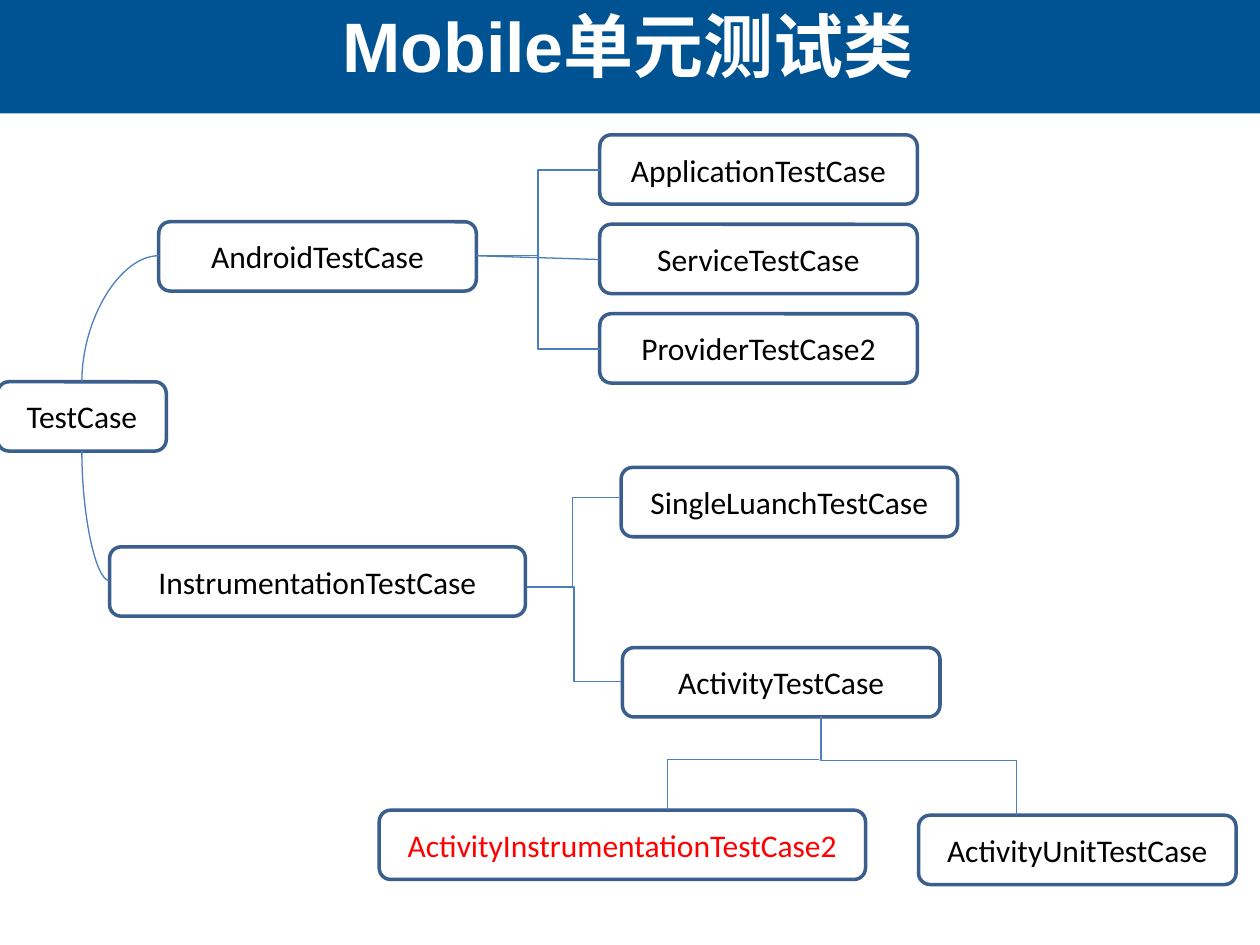
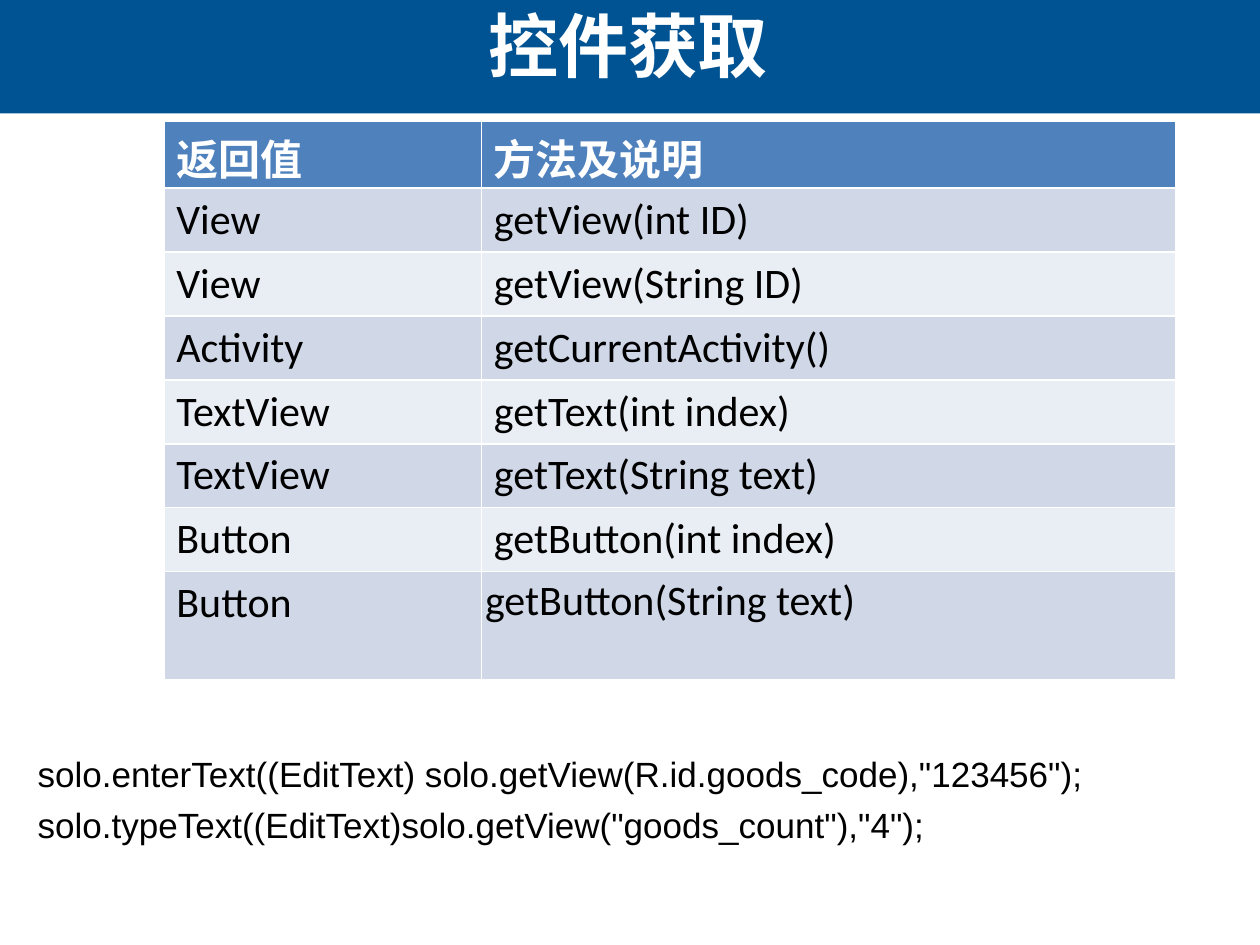
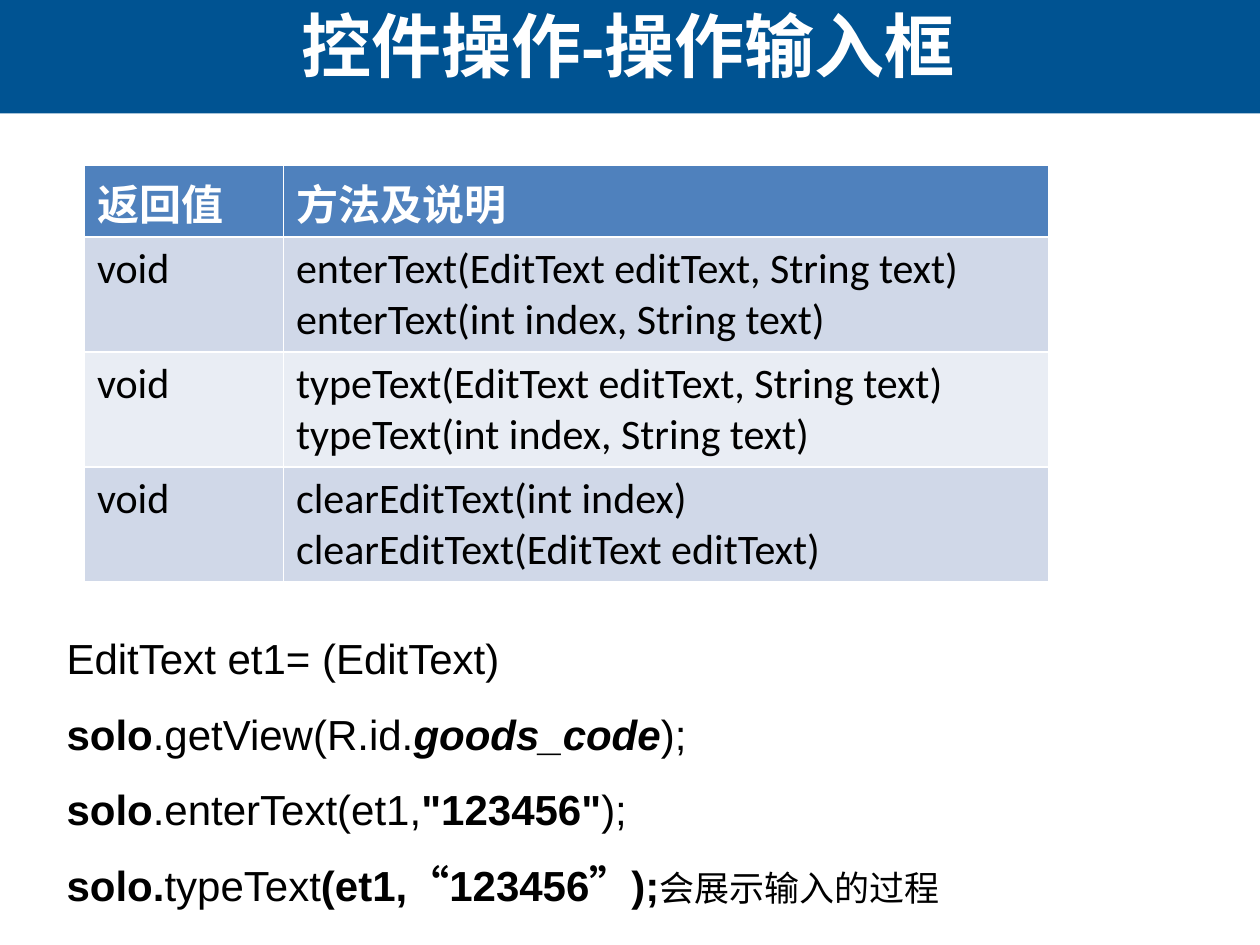
"""Build three slides on unit-test classes and widget access for mobile apps."""
from lxml import etree
from pptx import Presentation
from pptx.dml.color import RGBColor
from pptx.enum.shapes import MSO_CONNECTOR, MSO_SHAPE
from pptx.enum.text import MSO_ANCHOR, PP_ALIGN
from pptx.oxml.ns import qn
from pptx.util import Inches, Pt

RECTANGLE, ROUNDED = MSO_SHAPE.RECTANGLE, MSO_SHAPE.ROUNDED_RECTANGLE
STRAIGHT, ELBOW, CURVE = MSO_CONNECTOR.STRAIGHT, MSO_CONNECTOR.ELBOW, MSO_CONNECTOR.CURVE
MIDDLE, TOP = MSO_ANCHOR.MIDDLE, MSO_ANCHOR.TOP
LEFT, CENTER = PP_ALIGN.LEFT, PP_ALIGN.CENTER

COLORS = {
    "band": "005392",
    "white": "FFFFFF",
    "text": "000000",
    "highlight": "FF0000",
    "box line": "3A5F8C",
    "connector": "4B7EBC",
    "header": "4F81BD",
    "odd row": "D0D8E8",
    "even row": "E9EDF4",
}


def rgb(name):
    return RGBColor.from_string(COLORS[name])


def add_span(para, text, size, font="Arial", color="text", bold=False, italic=False):
    span = para.add_run()
    span.text = text
    span.font.size = Pt(size)
    span.font.name = font
    span.font.color.rgb = rgb(color)
    span.font.bold = bold
    span.font.italic = italic


deck = Presentation()
deck.slide_width, deck.slide_height = Inches(10), Inches(7.5)
layout = deck.slide_layouts[5]

pages = []
for heading in ["Mobile单元测试类", "控件获取", "控件操作-操作输入框"]:
    page = deck.slides.add_slide(layout)
    title = page.shapes.title
    title.left, title.top = Inches(-0.03), Inches(-0.18)
    title.width, title.height = Inches(10.03), Inches(1.07)
    title.text_frame.vertical_anchor = MIDDLE
    para = title.text_frame.paragraphs[0]
    para.alignment = CENTER
    add_span(para, heading, 40, color="white", bold=True)
    pages.append(page)
class_page, lookup_page, input_page = pages

band = class_page.shapes.add_shape(RECTANGLE, 0, 0, deck.slide_width, Inches(0.9))
band.shadow.inherit = False
band.fill.solid()
band.fill.fore_color.rgb = rgb("band")
band.line.fill.background()
layout.shapes.element.insert(2, band.element)

class_boxes = [
    ("TestCase", -0.02, 3.03, 1.34, "text"),
    ("AndroidTestCase", 1.26, 1.76, 2.52, "text"),
    ("InstrumentationTestCase", 0.87, 4.34, 3.3, "text"),
    ("ApplicationTestCase", 4.76, 1.07, 2.52, "text"),
    ("ServiceTestCase", 4.76, 1.78, 2.52, "text"),
    ("ProviderTestCase2", 4.76, 2.49, 2.52, "text"),
    ("ActivityTestCase", 4.94, 5.14, 2.52, "text"),
    ("SingleLuanchTestCase", 4.93, 3.71, 2.67, "text"),
    ("ActivityInstrumentationTestCase2", 3.01, 6.43, 3.86, "highlight"),
    ("ActivityUnitTestCase", 7.29, 6.47, 2.52, "text"),
]
for name, left, top, width, color in class_boxes:
    box = class_page.shapes.add_shape(
        ROUNDED, Inches(left), Inches(top), Inches(width), Inches(0.55))
    box.shadow.inherit = False
    box.fill.background()
    box.line.color.rgb = rgb("box line")
    box.line.width = Pt(2)
    box.text_frame.vertical_anchor = MIDDLE
    para = box.text_frame.paragraphs[0]
    para.alignment = CENTER
    add_span(para, name, 18, "Calibri", color)

class_links = [
    (CURVE, (1.26, 2.03), (0.65, 3.03), None, 0),
    (CURVE, (0.87, 4.61), (0.65, 3.58), None, 0),
    (ELBOW, (4.76, 1.35), (3.78, 2.03), None, 0),
    (STRAIGHT, (3.78, 2.03), (4.76, 2.06), None, 0),
    (ELBOW, (3.78, 2.03), (4.76, 2.77), None, 0),
    (ELBOW, (4.91, 3.95), (4.18, 4.66), None, 0),
    (ELBOW, (4.18, 4.66), (4.93, 5.41), None, 0),
    (ELBOW, (7.68, 5.3), (6.9, 6.85), 45200, 270),
    (ELBOW, (6.5, 6.03), (5.31, 6.42), 101200, 0),
]
for kind, start, end, bend, angle in class_links:
    link = class_page.shapes.add_connector(
        kind, *[Inches(length) for length in start + end])
    link.line.color.rgb = rgb("connector")
    link.line.width = Pt(0.75)
    properties = link.element.spPr
    etree.SubElement(properties, qn("a:effectLst"))
    geometry = properties.find(qn("a:prstGeom"))
    if kind == CURVE:
        geometry.set("prst", "curvedConnector2")
    if bend:
        guide = etree.SubElement(geometry.find(qn("a:avLst")), qn("a:gd"))
        guide.set("name", "adj1")
        guide.set("fmla", f"val {bend}")
    if angle:
        properties.find(qn("a:xfrm")).set("rot", str(angle * 60000))

header = ("返回值", "方法及说明")
lookup_rows = [
    header,
    ("View", "getView(int ID)"),
    ("View", "getView(String ID)"),
    ("Activity", "getCurrentActivity()"),
    ("TextView", "getText(int index)"),
    ("TextView", "getText(String text)"),
    ("Button", "getButton(int index)"),
    ("Button", "getButton(String text)"),
]
input_rows = [
    header,
    ("void", "enterText(EditText editText, String text)\nenterText(int index, String text)"),
    ("void", "typeText(EditText editText, String text)\ntypeText(int index, String text)"),
    ("void", "clearEditText(int index)\nclearEditText(EditText editText)"),
]
method_tables = [
    (lookup_page, lookup_rows, 1.3, 0.96, (2.52, 5.51), [0.5] * 7 + [0.86]),
    (input_page, input_rows, 0.67, 1.31, (1.58, 6.07), [0.57] + [0.91] * 3),
]
tables = []
for page, rows, left, top, widths, heights in method_tables:
    table = page.shapes.add_table(
        len(rows), len(widths), Inches(left), Inches(top),
        Inches(sum(widths)), Inches(sum(heights))).table
    tables.append(table)
    for column, width in zip(table.columns, widths):
        column.width = Inches(width)
    for index, (texts, height) in enumerate(zip(rows, heights)):
        table.rows[index].height = Inches(height)
        is_header = index == 0
        fill = "header" if is_header else "odd row" if index % 2 else "even row"
        for cell, text in zip(table.rows[index].cells, texts):
            cell.fill.solid()
            cell.fill.fore_color.rgb = rgb(fill)
            if is_header:
                cell.margin_bottom = 0
            for number, line in enumerate(text.split("\n")):
                frame = cell.text_frame
                para = frame.add_paragraph() if number else frame.paragraphs[0]
                add_span(para, line, 24, "Calibri",
                         "white" if is_header else "text", is_header)

last_cell = tables[0].cell(7, 1)
last_cell.vertical_anchor = TOP
last_cell.margin_left = last_cell.margin_right = Inches(0.03)
last_cell.margin_top = last_cell.margin_bottom = Inches(0.03)

sample = lookup_page.shapes.add_shape(
    RECTANGLE, Inches(0.2), Inches(5.92), Inches(9.78), Inches(0.84))
sample.shadow.inherit = False
sample.fill.solid()
sample.fill.fore_color.rgb = rgb("white")
sample.line.fill.background()
frame = sample.text_frame
frame.vertical_anchor = MIDDLE
sample_lines = [
    'solo.enterText((EditText) solo.getView(R.id.goods_code),"123456");',
    'solo.typeText((EditText)solo.getView("goods_count"),"4");',
]
for number, line in enumerate(sample_lines):
    para = frame.add_paragraph() if number else frame.paragraphs[0]
    para.alignment = LEFT
    para.space_before = Pt(5)
    add_span(para, line, 20)

code_box = input_page.shapes.add_textbox(
    Inches(0.43), Inches(4.77), Inches(8.5), Inches(2.52))
frame = code_box.text_frame
frame.word_wrap = True
code_spans = [
    [
        ("EditText et1= (EditText) ", 24, False, False),
        ("solo", 24, True, False),
        (".getView(R.id.", 24, False, False),
        ("goods_code", 24, True, True),
        (");", 24, False, False),
        None,
        ("solo", 24, True, False),
        (".enterText(et1,", 24, False, False),
        ('"123456"', 24, True, False),
        (");", 24, False, False),
    ],
    [
        ("solo.", 24, True, False),
        ("typeText", 24, False, False),
        ("(et1,“123456”);", 24, True, False),
        ("会展示输入的过程", 20, False, False),
    ],
]
for number, spans in enumerate(code_spans):
    para = frame.add_paragraph() if number else frame.paragraphs[0]
    para.line_spacing = 1.5
    for span in spans:
        if span is None:
            para.add_line_break()
        else:
            text, size, bold, italic = span
            add_span(para, text, size, bold=bold, italic=italic)

deck.save("out.pptx")
